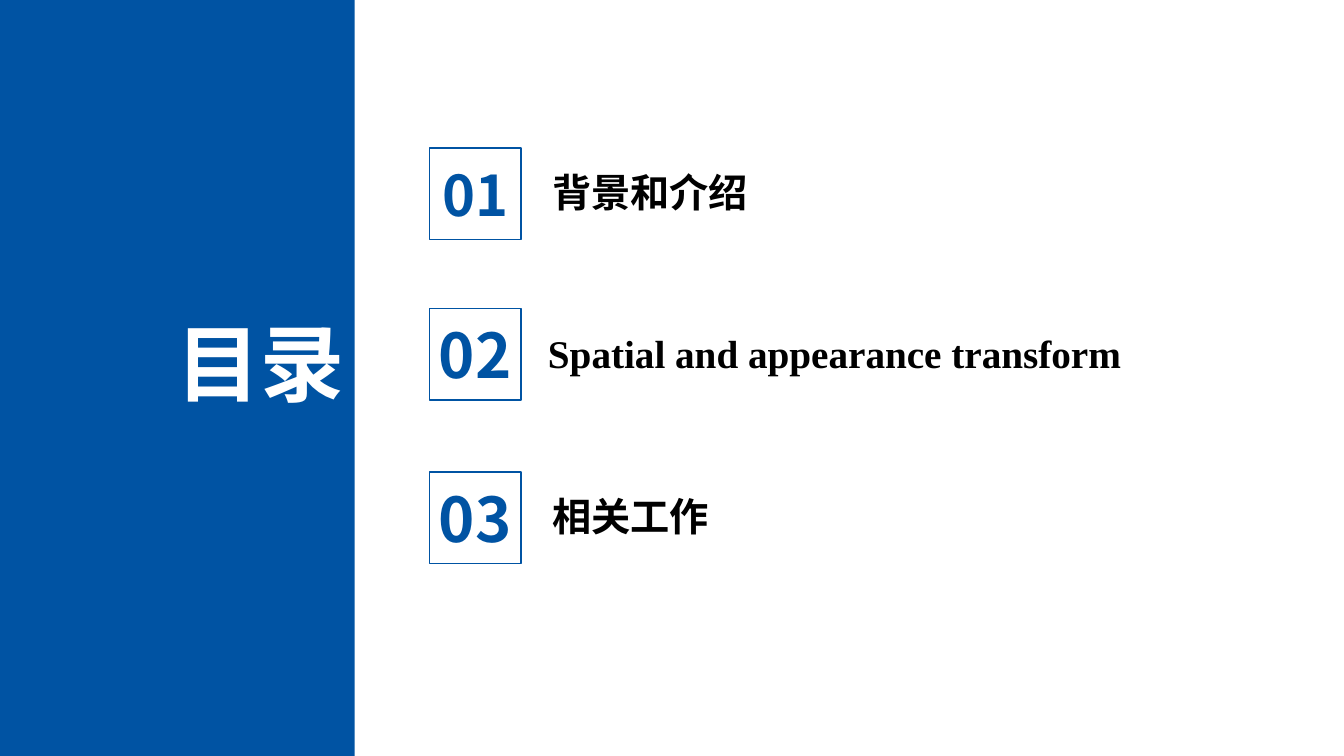
from lxml import etree
from pptx import Presentation
from pptx.dml.color import RGBColor
from pptx.enum import shapes, text
from pptx.oxml.ns import qn
from pptx.util import Cm, Pt

COLORS = {"blue": "0053A3", "white": "FFFFFF", "black": "000000"}
SANS, SERIF = "Noto Sans CJK SC", "Times New Roman"
HEADING = "目录"
# number, number size, title, title font, title left, title width, frame top
CHAPTERS = [
    ("01", 40, "背景和介绍", SANS, 13.67, 6.65, 3.73),
    ("02", 44, "Spatial and appearance transform", SERIF, 13.56, 15.06, 7.77),
    ("03", 44, "相关工作", SANS, 13.67, 13.82, 11.89),
]

SLIDE_WIDTH, SLIDE_HEIGHT = 33.87, 19.05
PANEL_WIDTH = 8.94
FRAME_LEFT, FRAME_SIZE = 10.82, 2.31
NUMBER_WIDTH, NUMBER_HEIGHT = 2.49, 2.13
TITLE_HEIGHT, TITLE_LIFT = 1.45, 0.04


def color(name):
    return RGBColor.from_string(COLORS[name])


def add_rect(slide, left, top, width, height):
    rect = slide.shapes.add_shape(
        shapes.MSO_SHAPE.RECTANGLE, Cm(left), Cm(top), Cm(width), Cm(height))
    rect.shadow.inherit = False
    return rect


def add_label(slide, words, left, middle, width, height, size, font_name, ink, align):
    """Add one bold line of text, centred vertically on middle."""
    label = slide.shapes.add_textbox(
        Cm(left), Cm(middle - height / 2), Cm(width), Cm(height))
    frame = label.text_frame
    frame.word_wrap = True
    frame.vertical_anchor = text.MSO_ANCHOR.MIDDLE
    paragraph = frame.paragraphs[0]
    paragraph.text = words
    paragraph.alignment = align
    font = paragraph.font
    font.size, font.bold, font.name = Pt(size), True, font_name
    font.color.rgb = color(ink)
    # East Asian glyphs take their typeface from a separate element
    defaults = paragraph._p.pPr.find(qn("a:defRPr"))
    etree.SubElement(defaults, qn("a:ea"), typeface=font_name)


def main():
    deck = Presentation()
    deck.slide_width, deck.slide_height = Cm(SLIDE_WIDTH), Cm(SLIDE_HEIGHT)
    slide = deck.slides.add_slide(deck.slide_layouts[6])

    panel = add_rect(slide, 0, 0, PANEL_WIDTH, SLIDE_HEIGHT)
    panel.fill.solid()
    panel.fill.fore_color.rgb = color("blue")
    panel.line.fill.background()
    add_label(slide, HEADING, 2.49, 9.13, PANEL_WIDTH - 2.49, 2.82,
              60, SANS, "white", text.PP_ALIGN.RIGHT)

    number_left = FRAME_LEFT + (FRAME_SIZE - NUMBER_WIDTH) / 2
    for number, size, title, title_font, left, width, top in CHAPTERS:
        middle = top + FRAME_SIZE / 2
        add_label(slide, title, left, middle - TITLE_LIFT, width, TITLE_HEIGHT,
                  28, title_font, "black", text.PP_ALIGN.LEFT)
        add_label(slide, number, number_left, middle, NUMBER_WIDTH, NUMBER_HEIGHT,
                  size, SANS, "blue", text.PP_ALIGN.CENTER)
        frame = add_rect(slide, FRAME_LEFT, top, FRAME_SIZE, FRAME_SIZE)
        frame.fill.background()
        frame.line.color.rgb = color("blue")
        frame.line.width = Pt(1)

    deck.save("out.pptx")


if __name__ == "__main__":
    main()
